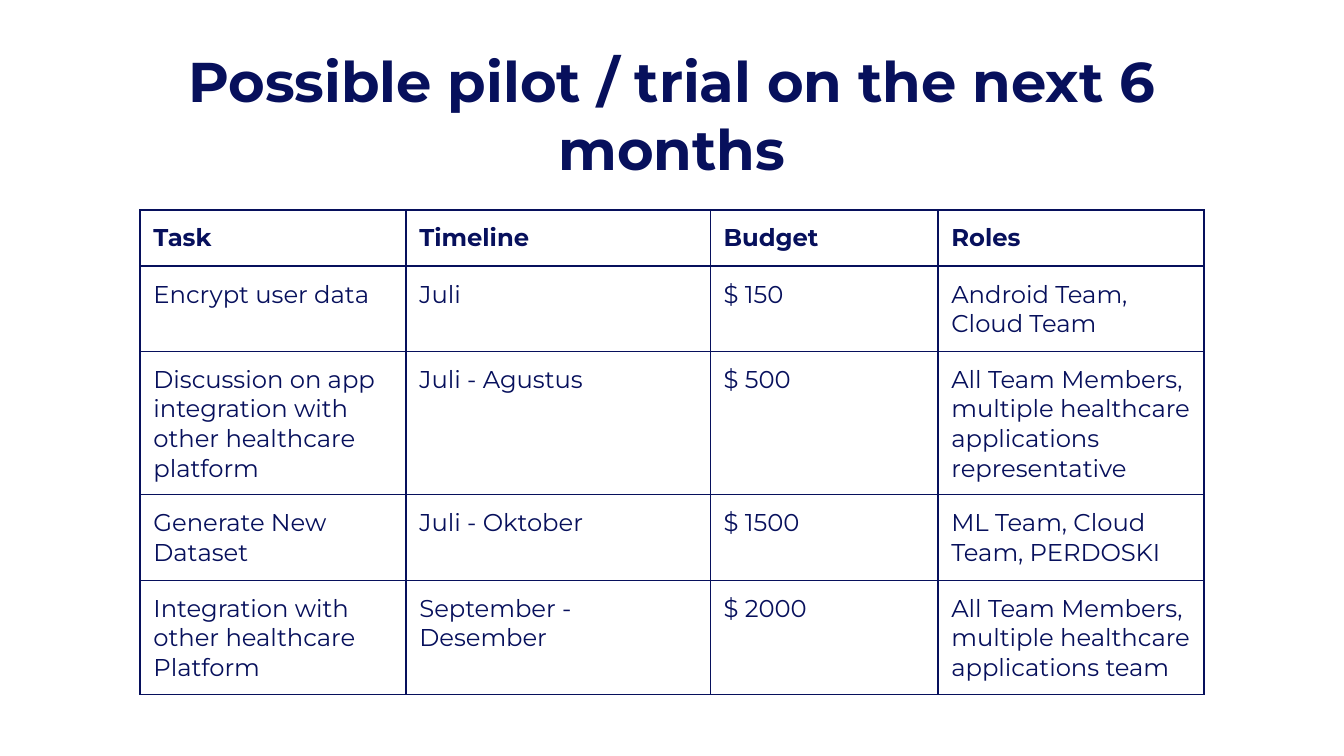
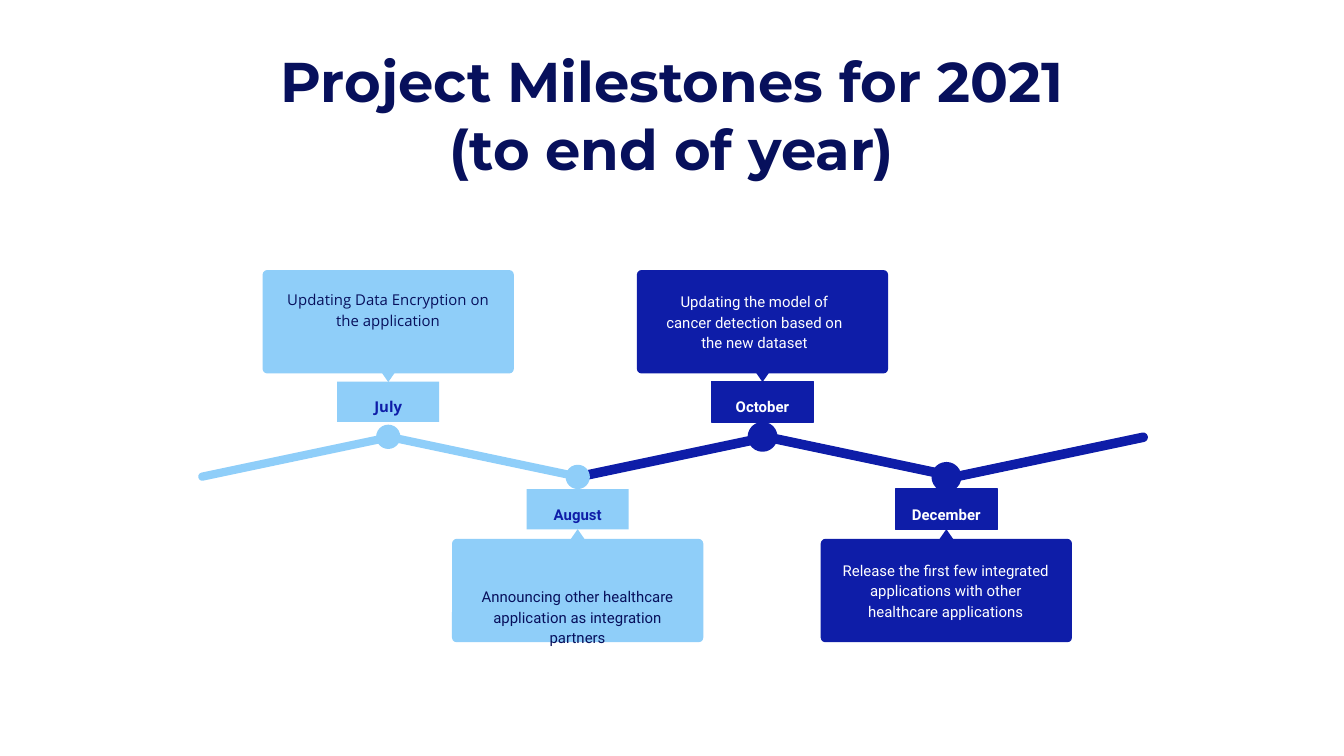
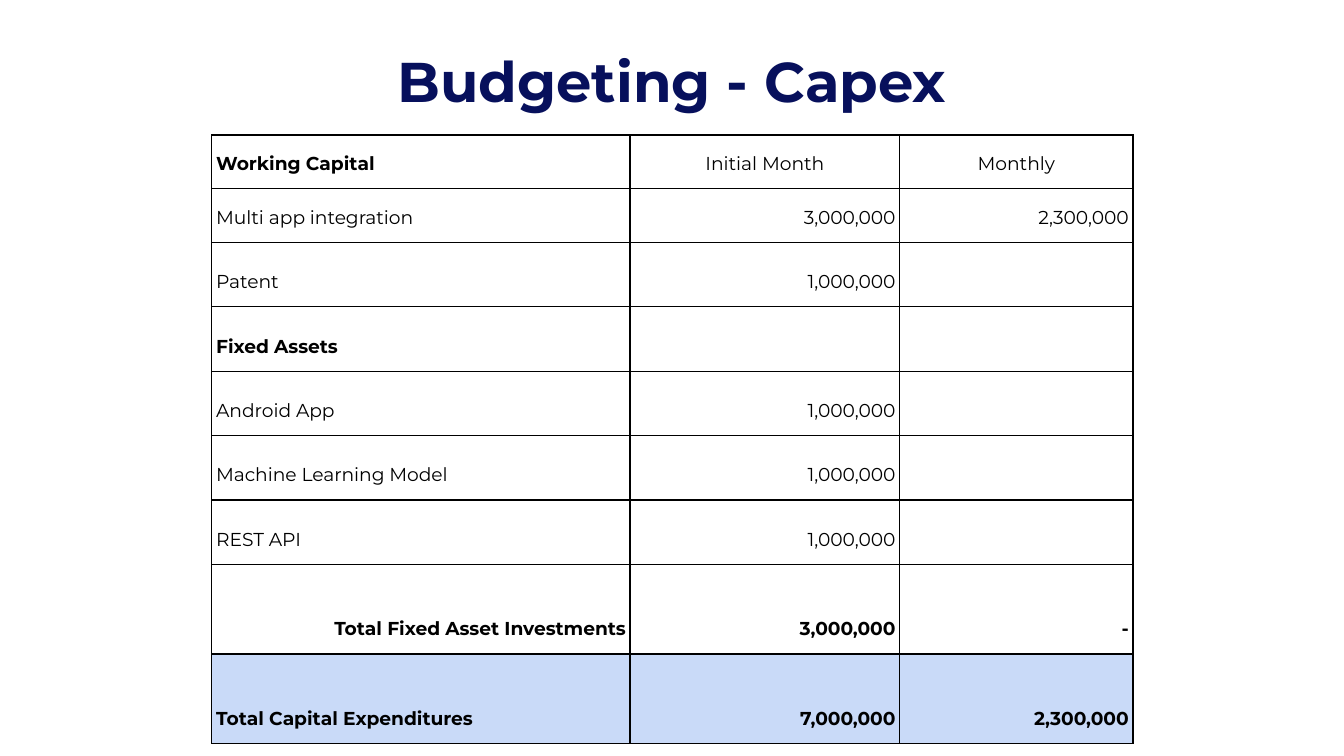
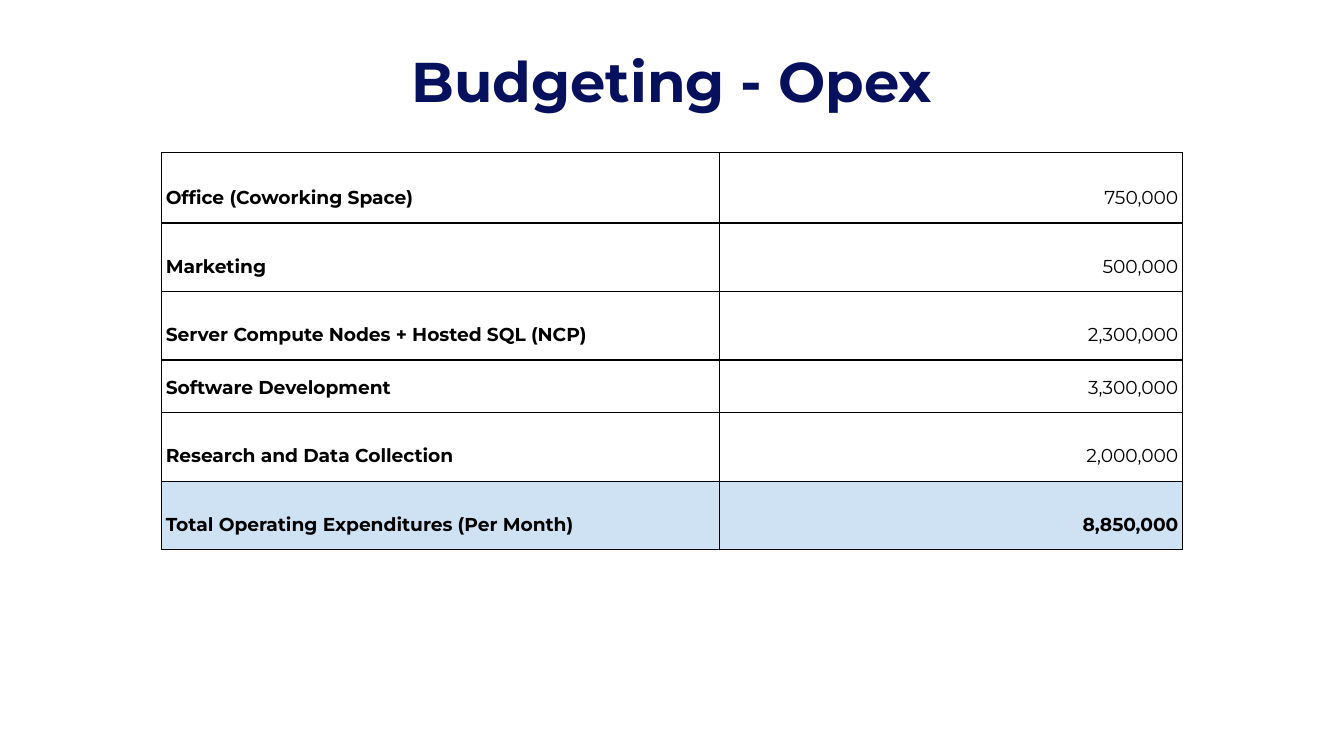
"""Build four slides on pilot tasks, 2021 milestones and budgets."""
from dataclasses import dataclass

from lxml.etree import SubElement
from pptx import Presentation
from pptx.dml.color import RGBColor
from pptx.enum.shapes import MSO_SHAPE
from pptx.enum.text import MSO_ANCHOR, PP_ALIGN
from pptx.oxml.ns import qn
from pptx.util import Pt

PILOT_TITLE = "Possible pilot / trial on the next 6 months"
PILOT_ROWS = [
    ("Task", "Timeline", "Budget", "Roles"),
    ("Encrypt user data", "Juli", "$ 150", "Android Team, Cloud Team"),
    ("Discussion on app integration with other healthcare platform",
     "Juli - Agustus", "$ 500",
     "All Team Members, multiple healthcare applications representative"),
    ("Generate New Dataset", "Juli - Oktober", "$ 1500",
     "ML Team, Cloud Team, PERDOSKI"),
    ("Integration with other healthcare Platform", "September - Desember",
     "$ 2000", "All Team Members, multiple healthcare applications team"),
]

MILESTONES_TITLE = "Project Milestones for 2021\n(to end of year)"
MILESTONES = [
    dict(month="July", center=208, above=True, tone="light", font="Open Sans",
         news="Updating Data Encryption on the application",
         insets=(10, 9, 10, 0)),
    dict(month="August", center=309.5, above=False, tone="light", font="Roboto",
         news="Announcing other healthcare application as integration partners",
         insets=(10, 24, 10, 0)),
    dict(month="October", center=408.5, above=True, tone="dark", font="Roboto",
         news="Updating the model of cancer detection based on the new dataset",
         insets=(10, 10, 18.5, 0)),
    dict(month="December", center=507, above=False, tone="dark", font="Roboto",
         news="Release the first few integrated applications with other "
              "healthcare applications",
         insets=(10, 10, 10.5, 0)),
]
SEGMENT_TONES = ["light", "light", "dark", "dark", "dark"]

CAPEX_TITLE = "Budgeting - Capex"
CAPEX_ROWS = [
    ("Working Capital", "Initial Month", "Monthly"),
    ("Multi app integration", "3,000,000", "2,300,000"),
    ("Patent", "1,000,000", ""),
    ("Fixed Assets", "", ""),
    ("Android App", "1,000,000", ""),
    ("Machine Learning Model", "1,000,000", ""),
    ("REST API", "1,000,000", ""),
    ("Total Fixed Asset Investments", "3,000,000", "-"),
    ("Total Capital Expenditures", "7,000,000", "2,300,000"),
]
CAPEX_HEADINGS = ("Working Capital", "Fixed Assets")

OPEX_TITLE = "Budgeting - Opex"
OPEX_ROWS = [
    ("Office (Coworking Space)", "750,000"),
    ("Marketing", "500,000"),
    ("Server Compute Nodes + Hosted SQL (NCP)", "2,300,000"),
    ("Software Development", "3,300,000"),
    ("Research and Data Collection", "2,000,000"),
    ("Total Operating Expenditures (Per Month)", "8,850,000"),
]


@dataclass(frozen=True)
class Theme:
    """Colours, fonts and type sizes shared by the slides."""
    navy: str = "07105C"
    dark: str = "0E1DA8"
    light: str = "8FCEF9"
    white: str = "FFFFFF"
    black: str = "000000"
    capex_total: str = "C9DAF8"
    opex_total: str = "CFE2F3"
    font: str = "Montserrat"
    title_size: float = 30
    task_size: float = 13
    money_size: float = 10
    milestone_size: float = 8
    spacing: float = 1.15
    inset: float = 7.2
    border: float = 0.75


THEME = Theme()


def rgb(color):
    """Turn a hex string into a colour."""
    return RGBColor.from_string(color)


def write(frame, text, *, size, color, font=THEME.font, bold=False,
          align=PP_ALIGN.LEFT, spacing=None):
    """Write each line of text as one formatted paragraph."""
    frame.word_wrap = True
    for number, line in enumerate(text.split("\n")):
        paragraph = frame.add_paragraph() if number else frame.paragraphs[0]
        paragraph.alignment = align
        if spacing:
            paragraph.line_spacing = spacing
        run = paragraph.add_run()
        run.text = line
        run.font.size = Pt(size)
        run.font.name = font
        run.font.bold = bold
        run.font.color.rgb = rgb(color)


def set_insets(target, left, top, right, bottom):
    """Set the four margins of a text frame or cell."""
    target.margin_left, target.margin_top = Pt(left), Pt(top)
    target.margin_right, target.margin_bottom = Pt(right), Pt(bottom)


def add_titled_slide(deck, title):
    """Add a blank slide with the shared title."""
    slide = deck.slides.add_slide(deck.slide_layouts[6])
    height = 45 + 36 * title.count("\n")
    frame = slide.shapes.add_textbox(Pt(36), Pt(18), Pt(648), Pt(height)).text_frame
    set_insets(frame, *[THEME.inset] * 4)
    write(frame, title, size=THEME.title_size, color=THEME.navy, bold=True,
          align=PP_ALIGN.CENTER)
    return slide


def add_borders(cell, color):
    """Draw a thin line on all four sides of a cell."""
    properties = cell._tc.get_or_add_tcPr()
    for side in ("a:lnL", "a:lnR", "a:lnT", "a:lnB"):
        line = SubElement(properties, qn(side), w=str(Pt(THEME.border)))
        SubElement(SubElement(line, qn("a:solidFill")), qn("a:srgbClr"), val=color)


def add_grid(slide, rows, left, top, widths, heights, *, color, size, side_inset,
             style, anchor=MSO_ANCHOR.TOP, spacing=None, total_fill=None):
    """Add a bordered table; style gives bold and alignment by row and column."""
    table = slide.shapes.add_table(len(rows), len(widths), Pt(left), Pt(top),
                                   Pt(sum(widths)), Pt(sum(heights))).table
    table.first_row = table.horz_banding = False
    for column, width in zip(table.columns, widths):
        column.width = Pt(width)
    for r, (texts, height) in enumerate(zip(rows, heights)):
        table.rows[r].height = Pt(height)
        for c, text in enumerate(texts):
            cell = table.cell(r, c)
            add_borders(cell, color)
            if total_fill and r == len(rows) - 1:
                cell.fill.solid()
                cell.fill.fore_color.rgb = rgb(total_fill)
            else:
                cell.fill.background()
            cell.vertical_anchor = anchor
            vertical = THEME.inset if text else 0
            set_insets(cell, side_inset, vertical, side_inset, vertical)
            if text:
                bold, align = style(r, c)
                write(cell.text_frame, text, size=size, color=color, bold=bold,
                      align=align, spacing=spacing)


def add_money_grid(slide, rows, left, top, widths, heights, style, total_fill):
    """Add a budget table whose last row is the total."""
    add_grid(slide, rows, left, top, widths, heights, color=THEME.black,
             size=THEME.money_size, side_inset=2.3, style=style,
             anchor=MSO_ANCHOR.BOTTOM, spacing=THEME.spacing,
             total_fill=total_fill)


def add_block(slide, kind, center, top, width, height, color, *, outline=0,
              rotation=0, corner=None):
    """Add a plain filled shape centred on a horizontal position."""
    block = slide.shapes.add_shape(kind, Pt(center - width / 2), Pt(top),
                                   Pt(width), Pt(height))
    block.shadow.inherit = False
    block.rotation = rotation
    if corner is not None:
        block.adjustments[0] = corner
    block.fill.solid()
    block.fill.fore_color.rgb = rgb(color)
    if outline:
        block.line.color.rgb = rgb(color)
        block.line.width = Pt(outline)
    else:
        block.line.fill.background()
    return block


def add_milestone(slide, month, center, above, tone, font, news, insets):
    """Add a dot, month label, pointer and news card at one turn of the path."""
    dark = tone == "dark"
    color = THEME.dark if dark else THEME.light
    dot, label, pointer, card = (
        (227.5, 204.5, 199.5, 144.7) if above else (249, 262, 283.5, 288.7))
    text_format = dict(size=THEME.milestone_size, font=font,
                       align=PP_ALIGN.CENTER, spacing=THEME.spacing)

    add_block(slide, MSO_SHAPE.OVAL, center, dot, 13, 13, color,
              outline=3 if dark else 0)
    month_label = add_block(slide, MSO_SHAPE.RECTANGLE, center, label, 54.7, 21.6,
                            color, outline=THEME.border if dark else 0)
    news_card = add_block(slide, MSO_SHAPE.ROUNDED_RECTANGLE, center, card,
                          134.6, 55.4, color, corner=0.045)
    add_block(slide, MSO_SHAPE.ISOSCELES_TRIANGLE, center, pointer, 7.2, 5.2,
              color, rotation=180 if above else 0)

    for block, text, margins, bold, ink in (
            (month_label, month, (0, THEME.inset, 0, 0), True, THEME.dark),
            (news_card, news, insets, False, THEME.navy)):
        frame = block.text_frame
        frame.vertical_anchor = MSO_ANCHOR.TOP
        set_insets(frame, *margins)
        write(frame, text, bold=bold, color=THEME.white if dark else ink,
              **text_format)


def build_pilot(deck):
    """Build the pilot task table."""
    add_grid(add_titled_slide(deck, PILOT_TITLE), PILOT_ROWS, 75, 112.5,
             [142.5, 163, 122, 142.5], [30] * len(PILOT_ROWS),
             color=THEME.navy, size=THEME.task_size, side_inset=THEME.inset,
             style=lambda r, c: (r == 0, PP_ALIGN.LEFT))


def build_milestones(deck):
    """Build the zigzag timeline."""
    slide = add_titled_slide(deck, MILESTONES_TITLE)
    for number, tone in enumerate(SEGMENT_TONES):
        dark = tone == "dark"
        add_block(slide, MSO_SHAPE.ROUNDED_RECTANGLE, 158.4 + 101 * number, 242.6,
                  106.6, 4.4, THEME.dark if dark else THEME.light,
                  outline=THEME.border if dark else 0,
                  rotation=11.9 if number % 2 else 348.1, corner=0.5)
    for milestone in MILESTONES:
        add_milestone(slide, **milestone)


def capex_style(r, c):
    """Give bold and alignment for a capital budget cell."""
    subtotal = len(CAPEX_ROWS) - 2
    bold = r >= subtotal or CAPEX_ROWS[r][c] in CAPEX_HEADINGS
    if c == 0:
        return bold, PP_ALIGN.RIGHT if r == subtotal else PP_ALIGN.LEFT
    return bold, PP_ALIGN.RIGHT if r else PP_ALIGN.CENTER


def opex_style(r, c):
    """Give bold and alignment for an operating budget cell."""
    return (c == 0 or r == len(OPEX_ROWS) - 1,
            PP_ALIGN.RIGHT if c else PP_ALIGN.LEFT)


def main():
    """Build and save the deck."""
    deck = Presentation()
    deck.slide_width, deck.slide_height = Pt(720), Pt(405)
    build_pilot(deck)
    build_milestones(deck)
    add_money_grid(add_titled_slide(deck, CAPEX_TITLE), CAPEX_ROWS, 113.5, 72.3,
                   [224, 144.5, 125], [28.8] * 2 + [34.5] * 5 + [48] * 2,
                   capex_style, THEME.capex_total)
    add_money_grid(add_titled_slide(deck, OPEX_TITLE), OPEX_ROWS, 86.5, 81.7,
                   [299, 248], [37.8, 36.7, 36.7, 28, 36.7, 36.7],
                   opex_style, THEME.opex_total)
    deck.save("out.pptx")


if __name__ == "__main__":
    main()
